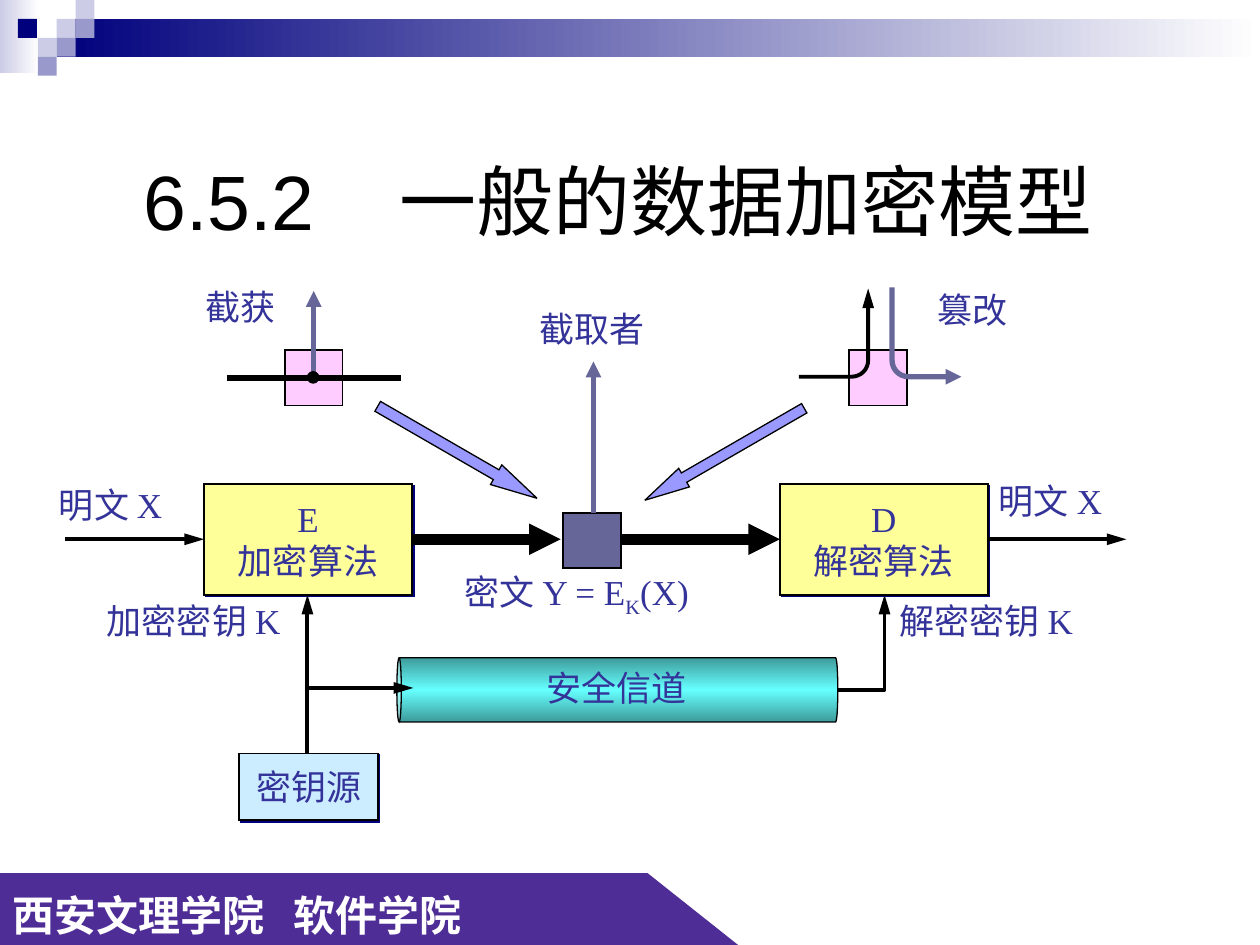
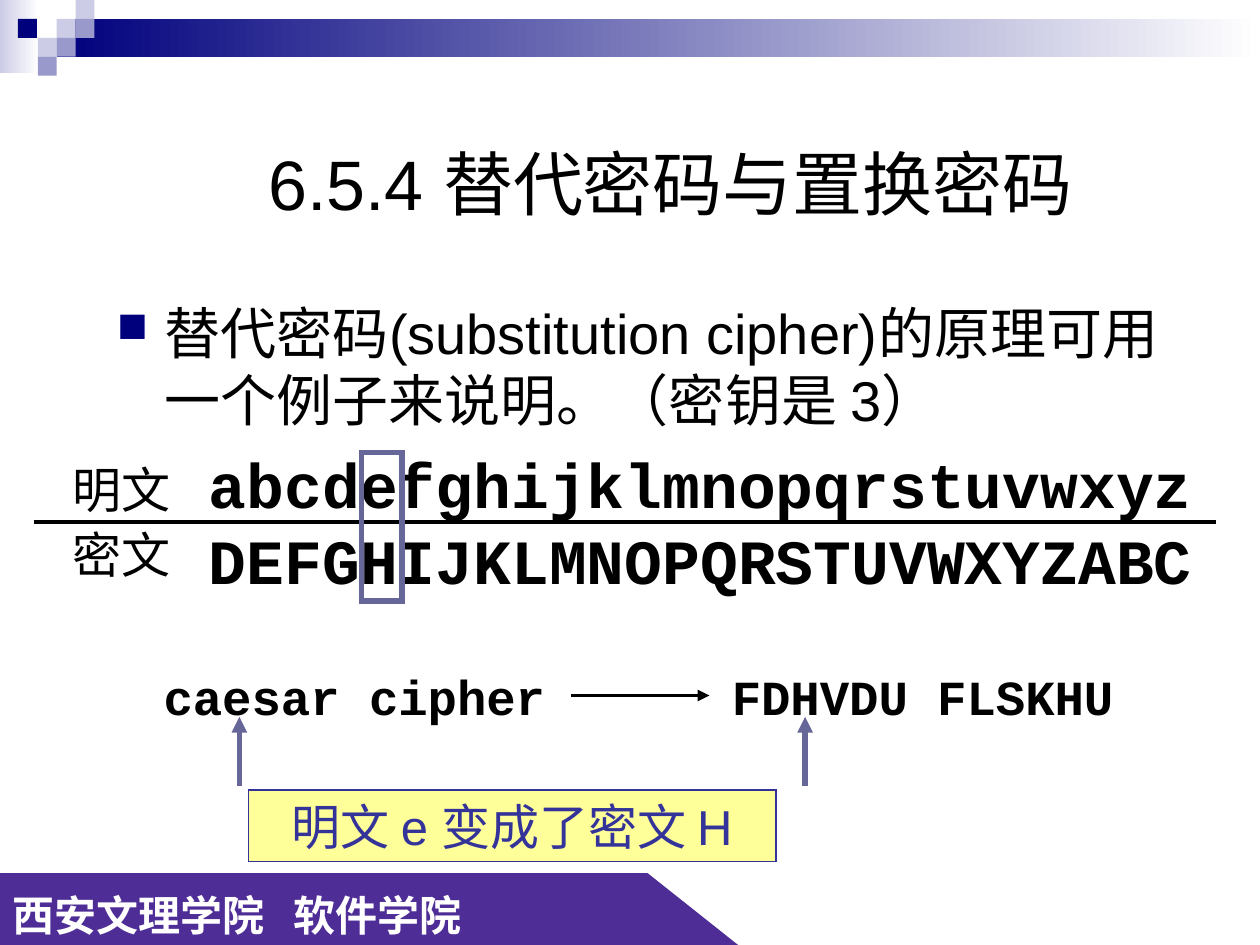
from math import cos, pi, sin

from lxml import etree
from pptx import Presentation
from pptx.dml.color import RGBColor
from pptx.enum.shapes import MSO_CONNECTOR, MSO_SHAPE
from pptx.enum.text import MSO_ANCHOR, MSO_AUTO_SIZE, PP_ALIGN
from pptx.oxml import parse_xml
from pptx.oxml.ns import nsdecls, qn
from pptx.util import Inches, Pt

RECT, OVAL, CAN = MSO_SHAPE.RECTANGLE, MSO_SHAPE.OVAL, MSO_SHAPE.CAN
SLANT, BLOCK_ARROW = MSO_SHAPE.PARALLELOGRAM, MSO_SHAPE.RIGHT_ARROW
STRAIGHT = MSO_CONNECTOR.STRAIGHT
LEFT, CENTER = PP_ALIGN.LEFT, PP_ALIGN.CENTER
TOP, MIDDLE, BOTTOM = MSO_ANCHOR.TOP, MSO_ANCHOR.MIDDLE, MSO_ANCHOR.BOTTOM
FIT = MSO_AUTO_SIZE.SHAPE_TO_FIT_TEXT
MEDIUM, LONG = "med", "lg"

BLACK = RGBColor(0x00, 0x00, 0x00)
WHITE = RGBColor(0xFF, 0xFF, 0xFF)
NAVY = RGBColor(0x00, 0x00, 0x7D)
PALE = RGBColor(0xCC, 0xCC, 0xE6)
LILAC = RGBColor(0x99, 0x99, 0xCC)
PURPLE = RGBColor(0x4E, 0x2E, 0x96)
INDIGO = RGBColor(0x33, 0x33, 0x99)
SLATE = RGBColor(0x66, 0x66, 0x99)
YELLOW = RGBColor(0xFF, 0xFF, 0x99)
PINK = RGBColor(0xFF, 0xCC, 0xFF)
SKY = RGBColor(0xCC, 0xEC, 0xFF)
PERIWINKLE = RGBColor(0x99, 0x99, 0xFF)
TEAL = RGBColor(0x3E, 0x9B, 0x9B)
CYAN = RGBColor(0x66, 0xFF, 0xFF)

LABEL = {"name": "Times New Roman", "size": Pt(20), "color": INDIGO}
FOOTER = {"name": "Arial", "size": Pt(24), "color": WHITE, "bold": True}
BODY = {"name": "Arial", "size": Pt(32), "color": BLACK}
NOTE = {"name": "Arial", "size": Pt(28), "color": INDIGO}
ROW_NAME = {"name": "Karla", "size": Pt(28), "color": BLACK}
ALPHABET = {"name": "Courier New", "size": Pt(36), "color": BLACK, "bold": True}
SAMPLE = {**ALPHABET, "size": Pt(28)}


# Basic helpers
def add_run(p, text, fmt):
    r = p.add_run()
    r.text = text
    for key, value in fmt.items():
        if key == "color":
            r.font.color.rgb = value
        else:
            setattr(r.font, key, value)
    return r


def write(sp, lines, fmt, align=LEFT, anchor=TOP, wrap=False, spacing=None):
    tf = sp.text_frame
    tf.word_wrap, tf.vertical_anchor = wrap, anchor
    for i, line in enumerate(lines):
        p = tf.add_paragraph() if i else tf.paragraphs[0]
        p.alignment = align
        if spacing:
            p.line_spacing = spacing
        add_run(p, line, fmt)
    return tf.paragraphs[0]


def add_text(s, x, y, w, h, lines, fmt, **layout):
    sp = s.shapes.add_textbox(Inches(x), Inches(y), Inches(w), Inches(h))
    p = write(sp, lines, fmt, **layout)
    if not layout.get("wrap"):
        sp.text_frame.auto_size = FIT
    return p


def add_tab_stop(p, position):
    tabs = etree.SubElement(p._p.get_or_add_pPr(), qn("a:tabLst"))
    etree.SubElement(tabs, qn("a:tab"), pos=str(Inches(position)), algn="l")


def set_line(sp, color, width):
    sp.line.color.rgb = color
    sp.line.width = Pt(width)


def set_gradient(sp, *colors):
    step = 100000 // (len(colors) - 1)
    stops = "".join(f'<a:gs pos="{i * step}"><a:srgbClr val="{c}"/></a:gs>'
                    for i, c in enumerate(colors))
    grad = parse_xml(f'<a:gradFill rotWithShape="1" {nsdecls("a")}><a:gsLst>{stops}'
                     '</a:gsLst><a:lin ang="0" scaled="0"/></a:gradFill>')
    sp._element.spPr.find(qn("a:prstGeom")).addnext(grad)


def add_box(s, x, y, w, h, fill=None, line=None, width=1, kind=RECT, adj=()):
    sp = s.shapes.add_shape(kind, Inches(x), Inches(y), Inches(w), Inches(h))
    sp.shadow.inherit = False
    for i, value in enumerate(adj):
        sp.adjustments[i] = value
    if fill is None:
        sp.fill.background()
    elif isinstance(fill, RGBColor):
        sp.fill.solid()
        sp.fill.fore_color.rgb = fill
    else:
        set_gradient(sp, *fill)
    if line is None:
        sp.line.fill.background()
    else:
        set_line(sp, line, width)
        etree.SubElement(sp.line._get_or_add_ln(), qn("a:miter"), lim="800000")
    return sp


def add_arrowhead(sp, length):
    etree.SubElement(sp.line._get_or_add_ln(), qn("a:tailEnd"),
                     type="triangle", w=MEDIUM, len=length)


def add_line(s, x1, y1, x2, y2, color=BLACK, width=2.25, head=MEDIUM):
    c = s.shapes.add_connector(STRAIGHT, *map(Inches, (x1, y1, x2, y2)))
    set_line(c, color, width)
    if head:
        add_arrowhead(c, head)
    etree.SubElement(c._element.spPr, qn("a:effectLst"))


def add_path(s, points, color=BLACK, width=2.25, head=LONG):
    pts = [(Inches(x), Inches(y)) for x, y in points]
    fb = s.shapes.build_freeform(*pts[0])
    fb.add_line_segments(pts[1:], close=False)
    sp = fb.convert_to_shape()
    sp.shadow.inherit = False
    sp.fill.background()
    set_line(sp, color, width)
    add_arrowhead(sp, head)


def add_shadowed_box(s, x, y, w, h, fill, lines):
    sp = add_box(s, x, y, w, h, fill, BLACK)
    effects = sp._element.spPr.find(qn("a:effectLst"))
    effects.append(parse_xml(
        f'<a:outerShdw dist="17780" dir="2700000" algn="ctr" {nsdecls("a")}>'
        f'<a:srgbClr val="{NAVY}"/></a:outerShdw>'))
    write(sp, lines, LABEL, align=CENTER, anchor=MIDDLE)


# Parts shared by both slides
def add_footer(s, y=6.93, h=0.58):
    slope = add_box(s, 2.95, y, 2.92, h, PURPLE, kind=SLANT, adj=[1.26])
    slope._element.spPr.xfrm.set("flipV", "1")
    band = add_box(s, 0, y, 4.25, h, PURPLE)
    p = write(band, ["西安文理学院\t软件学院"], FOOTER, wrap=True, spacing=1.2)
    add_tab_stop(p, 2.23)


def add_header(s, cell=0.15):
    add_box(s, 0, 0, 0.31, 0.58, (PALE, WHITE))
    add_box(s, 3 * cell, cell, 9.55, 2 * cell, (NAVY, WHITE))
    for col, row, color in [(3, 1, PALE), (4, 0, PALE), (4, 1, LILAC), (2, 2, PALE),
                            (0.95, 1, NAVY), (3, 2, LILAC), (2, 3, LILAC)]:
        add_box(s, col * cell, row * cell, cell, cell, color)


def new_slide(prs, title, x, y, w, h, size, align=CENTER, tab=None):
    s = prs.slides.add_slide(prs.slide_layouts[6])
    add_footer(s)
    add_header(s)
    p = add_text(s, x, y, w, h, [title], {**BODY, "size": Pt(size)},
                 align=align, anchor=BOTTOM, wrap=True)
    if tab:
        add_tab_stop(p, tab)
    return s


# Encryption model: regions
def add_secure_channel(s, x, y, w=3.5, h=0.51):
    mid = y + h / 2
    add_path(s, [(x + w / 2, mid), (7.02, mid), (7.02, 4.72)])
    can = add_box(s, x + (w - h) / 2, y - (w - h) / 2, h, w, (TEAL, CYAN, TEAL),
                  BLACK, 0.75, CAN, [0.07])
    can.rotation = 270
    add_text(s, x + 1.09, y + 0.02, 1.31, 0.44, ["安全信道"], LABEL)


def add_cipher_row(s, y, w=1.65, h=0.88):
    mid = y + h / 2
    for x, lines in [(1.62, ["E", "加密算法"]), (6.19, ["D", "解密算法"])]:
        add_shadowed_box(s, x, y, w, h, YELLOW, lines)
    for x1, x2, width, head in [(0.52, 1.62, 2.25, LONG), (3.27, 4.45, 6, MEDIUM),
                                (4.91, 6.19, 6, MEDIUM), (7.84, 8.94, 2.25, LONG)]:
        add_line(s, x1, mid, x2, mid, width=width, head=head)
    add_box(s, 4.47, mid - 0.21, 0.46, 0.44, SLATE, BLACK)
    add_line(s, 4.71, mid - 0.21, 4.71, 2.87, SLATE, 3)
    for x, dy, tw, text in [(0.37, -0.05, 1.16, "明文 X"), (7.83, -0.08, 1.16, "明文 X"),
                            (0.75, 0.87, 1.72, "加密密钥 K"), (7.04, 0.87, 1.72, "解密密钥 K"),
                            (4.18, -1.45, 1.06, "截取者")]:
        add_text(s, x, y + dy, tw, 0.44, [text], LABEL)
    p = add_text(s, 3.59, y + 0.64, 2.13, 0.48, ["密文 Y = E"], LABEL)
    sub = add_run(p, "K", LABEL)
    sub.font._element.set("baseline", "-25000")
    add_run(p, "(X)", LABEL)


def add_key_source(s, x, y):
    add_line(s, x + 0.54, y, x + 0.54, 4.72, head=LONG)
    add_line(s, x + 0.54, 5.46, 3.28, 5.46, head=LONG)
    add_shadowed_box(s, x, y, 1.1, 0.53, SKY, ["密钥源"])


def add_interception(s, x, y):
    add_box(s, x + 0.46, y + 0.47, 0.46, 0.44, PINK, BLACK)
    add_line(s, x, y + 0.69, x + 1.38, y + 0.69, width=3, head=None)
    add_line(s, x + 0.69, y + 0.69, x + 0.69, y, SLATE, 3)
    add_box(s, x + 0.64, y + 0.64, 0.09, 0.09, BLACK, BLACK, 0.75, OVAL)
    arrow = add_box(s, x + 1.1, y + 1.19, 1.46, 0.18, PERIWINKLE, BLACK, 0.75,
                    BLOCK_ARROW, [0.5, 2.08])
    arrow.rotation = 30
    add_text(s, x - 0.27, y - 0.09, 0.78, 0.44, ["截获"], LABEL)


def quarter_turn(cx, cy, radius, start, steps=8):
    angles = [start + pi / 2 * i / steps for i in range(steps + 1)]
    return [(cx + radius * cos(a), cy + radius * sin(a)) for a in angles]


def add_tampering(s, x, y, radius=0.13):
    add_box(s, x + 0.4, y + 0.5, 0.46, 0.44, PINK, BLACK)
    base = y + 0.71
    turn_up = quarter_turn(x + 0.55 - radius, base - radius, radius, 0)[::-1]
    turn_right = quarter_turn(x + 0.74 + radius, base - radius, radius, pi / 2)[::-1]
    add_path(s, [(x, base), *turn_up, (x + 0.55, y + 0.01)])
    add_path(s, [(x + 0.74, y), *turn_right, (x + 1.29, base)], SLATE, 3, MEDIUM)
    arrow = add_box(s, x - 1.32, y + 1.24, 1.46, 0.17, PERIWINKLE, BLACK, 0.75,
                    BLOCK_ARROW, [0.5, 2.11])
    arrow.rotation = 150
    add_text(s, x + 1, y - 0.04, 0.78, 0.44, ["篡改"], LABEL)


def build_model_slide(prs):
    s = new_slide(prs, "6.5.2\t一般的数据加密模型", 1.04, 0.5, 8.46, 1.5, 44,
                  align=LEFT, tab=2.03)
    add_secure_channel(s, 3.15, 5.22)
    add_cipher_row(s, 3.84)
    add_interception(s, 1.8, 2.31)
    add_tampering(s, 6.34, 2.28)
    add_key_source(s, 1.9, 5.98)


# Substitution cipher: regions
def add_principle(s, x, y, w, h):
    p = add_text(s, x, y, w, h,
                 ["替代密码(substitution cipher)的原理可用一个例子来说明。（密钥是 3）"],
                 BODY, wrap=True)
    pPr = p._p.get_or_add_pPr()
    pPr.set("marL", str(Inches(0.38)))
    pPr.set("indent", str(-Inches(0.38)))
    color = etree.SubElement(pPr, qn("a:buClr"))
    etree.SubElement(color, qn("a:srgbClr"), val=str(NAVY))
    etree.SubElement(pPr, qn("a:buSzPct"), val="75000")
    etree.SubElement(pPr, qn("a:buFont"), typeface="Wingdings", charset="2")
    etree.SubElement(pPr, qn("a:buChar"), char="n")


def add_alphabets(s, x, y):
    add_text(s, x + 1.29, y, 8, 1.3,
             ["abcdefghijklmnopqrstuvwxyz", "DEFGHIJKLMNOPQRSTUVWXYZABC"], ALPHABET)
    add_text(s, x + 0.21, y + 0.06, 1, 1.13, ["明文", "密文"], ROW_NAME, spacing=1.1)
    add_line(s, x, y + 0.65, x + 9.38, y + 0.65, head=None)
    add_box(s, x + 2.6, y + 0.1, 0.32, 1.18, line=SLATE, width=3)


def add_example(s, x, y):
    add_text(s, x, y, 3.23, 0.57, ["caesar cipher"], SAMPLE)
    add_text(s, x + 4.51, y, 3.23, 0.57, ["FDHVDU FLSKHU"], SAMPLE)
    add_line(s, x + 3.33, y + 0.28, x + 4.43, y + 0.28)
    for letter_x in (x + 0.7, x + 5.19):
        add_line(s, letter_x, y + 1, letter_x, y + 0.45, SLATE, 3)
    note = add_box(s, x + 0.77, y + 1.03, 4.19, 0.57, YELLOW, INDIGO, 0.75)
    write(note, ["明文 e 变成了密文 H"], NOTE, align=CENTER)


def build_substitution_slide(prs):
    s = new_slide(prs, "6.5.4 替代密码与置换密码", 0.83, 0.23, 8.98, 1.6, 40)
    add_principle(s, 0.83, 2.32, 8.66, 4.03)
    add_alphabets(s, 0.27, 3.49)
    add_example(s, 1.2, 5.24)


def main():
    prs = Presentation()
    prs.slide_width, prs.slide_height = Inches(10), Inches(7.5)
    build_model_slide(prs)
    build_substitution_slide(prs)
    prs.save("out.pptx")


if __name__ == "__main__":
    main()
